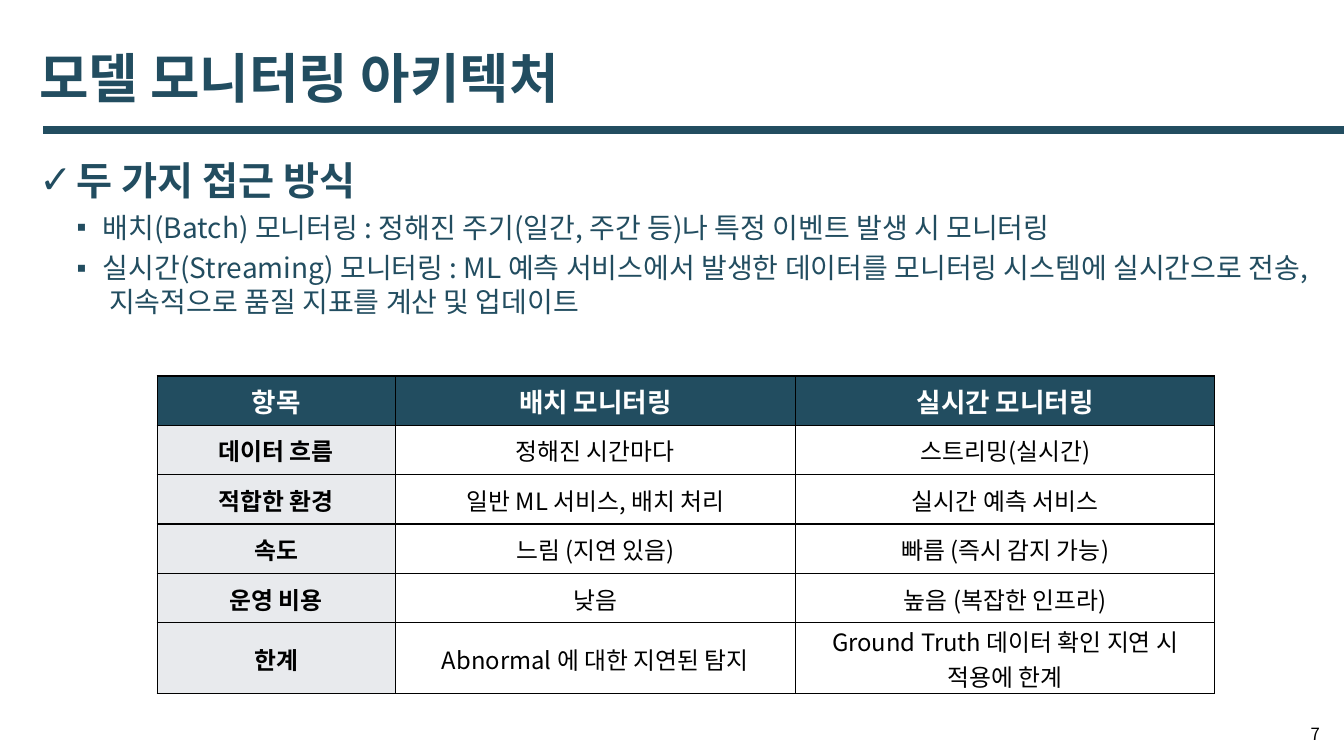
from lxml import etree
from pptx import Presentation
from pptx import util as u
from pptx.dml.color import RGBColor
from pptx.enum import shapes, text
from pptx.oxml import ns

FONT = "Noto Sans CJK KR"
NAVY, GREY, WHITE, BLACK = "224D60", "E8EAED", "FFFFFF", "000000"


def rgb(value):
    return RGBColor.from_string(value)


def add_xml(parent, tag, **attributes):
    return etree.SubElement(parent, ns.qn(tag), attributes)


class Deck:
    def __init__(self):
        self.presentation = Presentation()
        self.presentation.slide_width = u.Inches(13.33)
        self.presentation.slide_height = u.Inches(7.5)
        self.slide = self.presentation.slides.add_slide(self.presentation.slide_layouts[1])
        fill = self.slide.background.fill
        fill.solid()
        fill.fore_color.rgb = rgb(WHITE)

    def place(self, shape, left, top, width, height):
        shape.left, shape.top = u.Inches(left), u.Inches(top)
        shape.width, shape.height = u.Inches(width), u.Inches(height)

    def style(self, paragraph, size, color, bold=False, align=text.PP_ALIGN.LEFT):
        paragraph.alignment = align
        for run in paragraph.runs:
            run.font.size = u.Pt(size)
            run.font.bold = bold
            run.font.color.rgb = rgb(color)
            run.font.name = FONT
            add_xml(run.font._element, "a:ea", typeface=FONT)

    def title(self, wording, *box):
        heading = self.slide.shapes.title
        self.place(heading, *box)
        frame = heading.text_frame
        frame.text = wording
        frame.vertical_anchor = text.MSO_ANCHOR.MIDDLE
        frame.auto_size = text.MSO_AUTO_SIZE.NONE
        frame.paragraphs[0].line_spacing = 0.9
        self.style(frame.paragraphs[0], 38.4, NAVY, True)

    def rule(self, left, right, y, color, weight):
        line = self.slide.shapes.add_connector(
            shapes.MSO_CONNECTOR.STRAIGHT,
            u.Inches(left), u.Inches(y), u.Inches(right), u.Inches(y))
        line.line.color.rgb = rgb(color)
        line.line.width = u.Pt(weight)
        add_xml(line._element.spPr, "a:effectLst")

    def bullets(self, points, *box):
        body = self.slide.placeholders[1]
        self.place(body, *box)
        frame = body.text_frame
        frame.text = "\n".join(wording for _, wording in points)
        frame.auto_size = text.MSO_AUTO_SIZE.SHAPE_TO_FIT_TEXT
        looks = [("✓", 0.37, 0.37, 28, 0), ("▪", 0.63, 0.26, 20, 5)]
        for paragraph, (level, _) in zip(frame.paragraphs, points):
            mark, margin, hang, size, before = looks[level]
            paragraph.level = level
            properties = paragraph._p.get_or_add_pPr()
            properties.set("marL", str(u.Inches(margin)))
            properties.set("indent", str(-u.Inches(hang)))
            add_xml(properties, "a:buFont", typeface="Arial")
            add_xml(properties, "a:buChar", char=mark)
            paragraph.line_spacing = 1.0
            paragraph.space_before = u.Pt(before)
            self.style(paragraph, size, NAVY, level == 0)

    def cell(self, cell, wording, size, color, bold, background):
        cell.text_frame.text = wording
        cell.vertical_anchor = text.MSO_ANCHOR.MIDDLE
        cell.margin_left = cell.margin_top = cell.margin_right = u.Inches(0.01)
        cell.margin_bottom = 0
        for paragraph in cell.text_frame.paragraphs:
            self.style(paragraph, size, color, bold, text.PP_ALIGN.CENTER)
        properties = cell._tc.get_or_add_tcPr()
        for side in ("a:lnL", "a:lnR", "a:lnT", "a:lnB"):
            border = add_xml(properties, side, w=str(u.Pt(1)))
            add_xml(add_xml(border, "a:solidFill"), "a:srgbClr", val=BLACK)
        cell.fill.solid()
        cell.fill.fore_color.rgb = rgb(background)

    def table(self, rows, widths, heights, left, top):
        comparison = self.slide.shapes.add_table(
            len(rows), len(widths), u.Inches(left), u.Inches(top),
            u.Inches(sum(widths)), u.Inches(sum(heights))).table
        comparison.horz_banding = False
        for column, width in zip(comparison.columns, widths):
            column.width = u.Inches(width)
        for r, (row, height) in enumerate(zip(rows, heights)):
            comparison.rows[r].height = u.Inches(height)
            for c, wording in enumerate(row):
                if r == 0:
                    look = (19, WHITE, True, NAVY)
                elif c == 0:
                    look = (17, BLACK, True, GREY)
                else:
                    look = (17, BLACK, False, WHITE)
                self.cell(comparison.cell(r, c), wording, *look)

    def page_number(self, number, *box):
        page = self.slide.shapes.add_textbox(*(u.Inches(length) for length in box))
        page.text_frame.word_wrap = True
        page.text_frame.text = number
        self.style(page.text_frame.paragraphs[0], 12, BLACK)


def main():
    deck = Deck()
    deck.rule(0.43, 13.33, 1.29, NAVY, 6)
    deck.title("모델 모니터링 아키텍처", 0.29, 0.31, 12.75, 0.98)
    deck.bullets([
        (0, "두 가지 접근 방식"),
        (1, "배치(Batch) 모니터링 : 정해진 주기(일간, 주간 등)나 특정 이벤트 발생 시 모니터링"),
        (1, "실시간(Streaming) 모니터링 : ML 예측 서비스에서 발생한 데이터를 모니터링 시스템에 "
            "실시간으로 전송, 지속적으로 품질 지표를 계산 및 업데이트"),
    ], 0.29, 1.5, 12.74, 1.72)
    deck.table([
        ("항목", "배치 모니터링", "실시간 모니터링"),
        ("데이터 흐름", "정해진 시간마다", "스트리밍(실시간)"),
        ("적합한 환경", "일반 ML 서비스, 배치 처리", "실시간 예측 서비스"),
        ("속도", "느림 (지연 있음)", "빠름 (즉시 감지 가능)"),
        ("운영 비용", "낮음", "높음 (복잡한 인프라)"),
        ("한계", "Abnormal 에 대한 지연된 탐지", "Ground Truth 데이터 확인 지연 시\n적용에 한계"),
    ], [2.36, 3.97, 4.16], [0.49] * 5 + [0.7], 1.56, 3.73)
    deck.page_number("7", 12.9, 7.13, 0.43, 0.4)
    deck.presentation.save("out.pptx")


if __name__ == "__main__":
    main()
